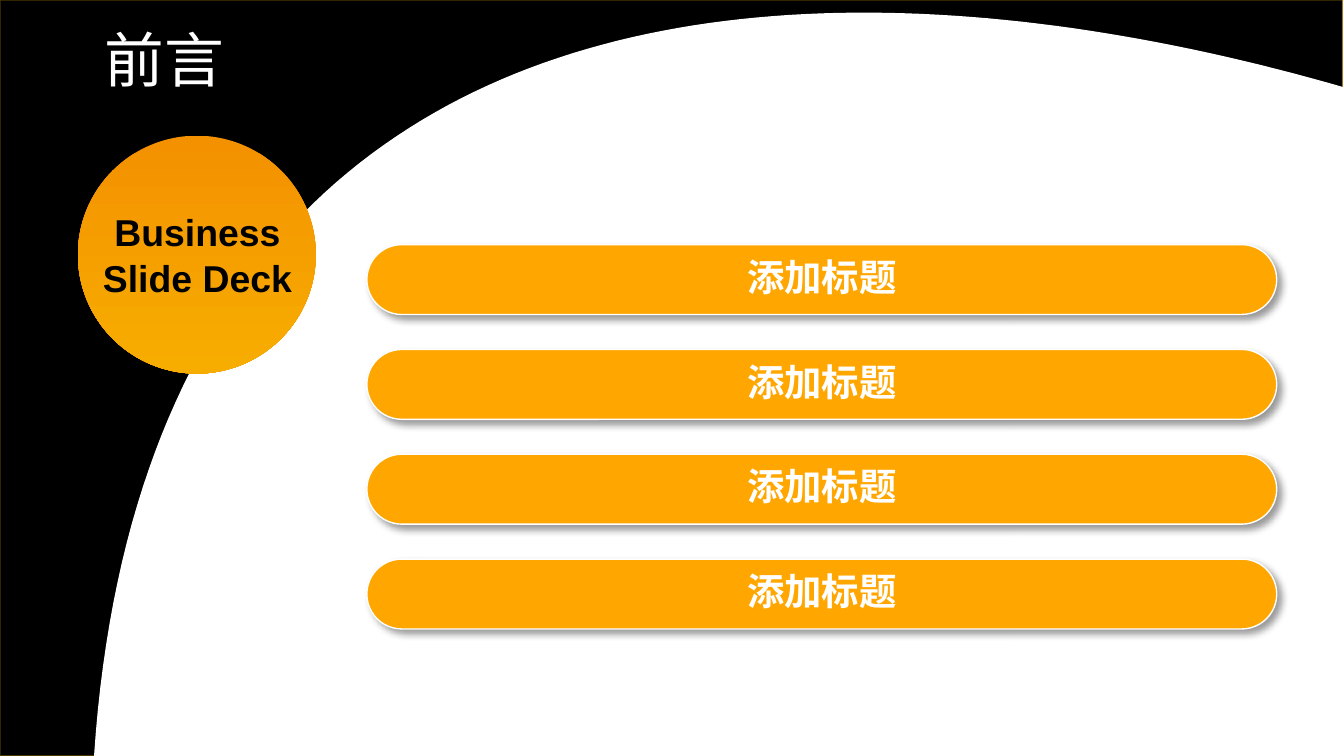
from lxml.etree import SubElement
from pptx import Presentation
from pptx.dml.color import RGBColor as Rgb
from pptx.enum.shapes import MSO_SHAPE as Kind
from pptx.enum.text import MSO_AUTO_SIZE as Fit, PP_ALIGN as Align
from pptx.oxml.ns import qn
from pptx.util import Inches, Pt

WIDE = 10
HIGH = WIDE * 9 / 16
COLORS = {
    "back": "000000", "edge": "FFC000", "white": "FFFFFF", "bar": "FFA700",
    "top": "F49100", "base": "F7AD00", "text": "000000", "shade": "000000",
}
LATIN, HAN = "Arial", "Noto Sans CJK SC"
TITLE = {"size": Pt(32), "name": HAN, "bold": False}
LABEL = {"size": Pt(20), "name": HAN, "bold": True}
BADGE = {"size": Pt(20), "name": LATIN, "bold": True}
BARS = ["添加标题"] * 4
BAR_TOP, BAR_STEP = 1.82, 0.78


def color(key):
    return Rgb.from_string(COLORS[key])


def add_shape(shapes, kind, box, fill=None, line=None):
    shape = shapes.add_shape(kind, *map(Inches, box))
    paint(shape, fill, line)
    return shape


def paint(shape, fill, line=None):
    shape.shadow.inherit = False
    if fill:
        shape.fill.solid()
        shape.fill.fore_color.rgb = color(fill)
    if line:
        shape.line.color.rgb = color(line)
        shape.line.width = Pt(0.75)
    else:
        shape.line.fill.background()


def add_alpha(node, part):
    SubElement(node, qn("a:alpha"), val=str(part * 1000))


def add_shadow(shape):
    """Soft shadow to the lower right."""
    effects = shape._element.spPr.find(qn("a:effectLst"))
    outer = SubElement(effects, qn("a:outerShdw"), blurRad=str(Pt(4)),
                       dist=str(Pt(3)), dir=str(45 * 60000),
                       algn="tl", rotWithShape="0")
    add_alpha(SubElement(outer, qn("a:srgbClr"), val=COLORS["shade"]), 40)


def add_text(shapes, box, lines, form, ink, align=Align.LEFT,
             wrap=False, space=None):
    frame = shapes.add_textbox(*map(Inches, box)).text_frame
    frame.word_wrap = wrap
    frame.auto_size = Fit.SHAPE_TO_FIT_TEXT
    for i, line in enumerate(lines):
        para = frame.add_paragraph() if i else frame.paragraphs[0]
        para.alignment = align
        para.line_spacing = space
        run = para.add_run()
        run.text = line
        for key, value in form.items():
            setattr(run.font, key, value)
        run.font.color.rgb = color(ink)
        SubElement(run._r.get_or_add_rPr(), qn("a:ea"), typeface=form["name"])


def trace(a, b, c, d, steps=100):
    """Points along a cubic curve from a to d."""
    for i in range(steps + 1):
        t = i / steps
        u = 1 - t
        yield tuple(u**3 * p + 3 * u * u * t * q + 3 * u * t * t * r + t**3 * s
                    for p, q, r, s in zip(a, b, c, d))


def add_sweep(shapes):
    """White area under the curve."""
    start, *rest = trace((0.7, HIGH), (1.09, -0.19), (5.85, -0.55), (WIDE, 0.65))
    unit = Inches(1)
    pen = shapes.build_freeform(start[0] * unit, start[1] * unit, scale=1.0)
    pen.add_line_segments([(x * unit, y * unit)
                           for x, y in rest + [(WIDE, HIGH)]], close=True)
    paint(pen.convert_to_shape(), "white")


def add_badge(shapes):
    disc = add_shape(shapes, Kind.OVAL, (0.58, 1.01, 1.77, 1.77))
    disc.fill.gradient()
    disc.fill.gradient_angle = 270
    for stop, key in zip(disc.fill.gradient_stops, ("top", "base")):
        stop.color.rgb = color(key)
    add_text(shapes, (0.6, 1.49, 1.74, 0.78), ["Business", "Slide Deck"],
             BADGE, "text", Align.CENTER, space=Pt(25))


def add_bar(shapes, top, label):
    group = shapes.add_group_shape().shapes
    bar = add_shape(group, Kind.ROUNDED_RECTANGLE, (2.73, top, 6.77, 0.52),
                    "bar", "white")
    bar.adjustments[0] = 0.5
    add_shadow(bar)
    add_text(group, (4.07, top + 0.02, 4.09, 0.44), [label], LABEL, "white",
             Align.CENTER, wrap=True)


def main():
    deck = Presentation()
    deck.slide_width, deck.slide_height = Inches(WIDE), Inches(HIGH)
    shapes = deck.slides.add_slide(deck.slide_layouts[6]).shapes
    back = add_shape(shapes, Kind.RECTANGLE, (0, 0, 9.99, HIGH), "back", "edge")
    add_alpha(back.line._ln.find(".//" + qn("a:srgbClr")), 30)
    add_sweep(shapes)
    add_badge(shapes)
    add_text(shapes, (0.68, 0.12, 1.1, 0.64), ["前言"], TITLE, "white")
    for i, label in enumerate(BARS):
        add_bar(shapes, BAR_TOP + i * BAR_STEP, label)
    deck.save("out.pptx")


if __name__ == "__main__":
    main()
